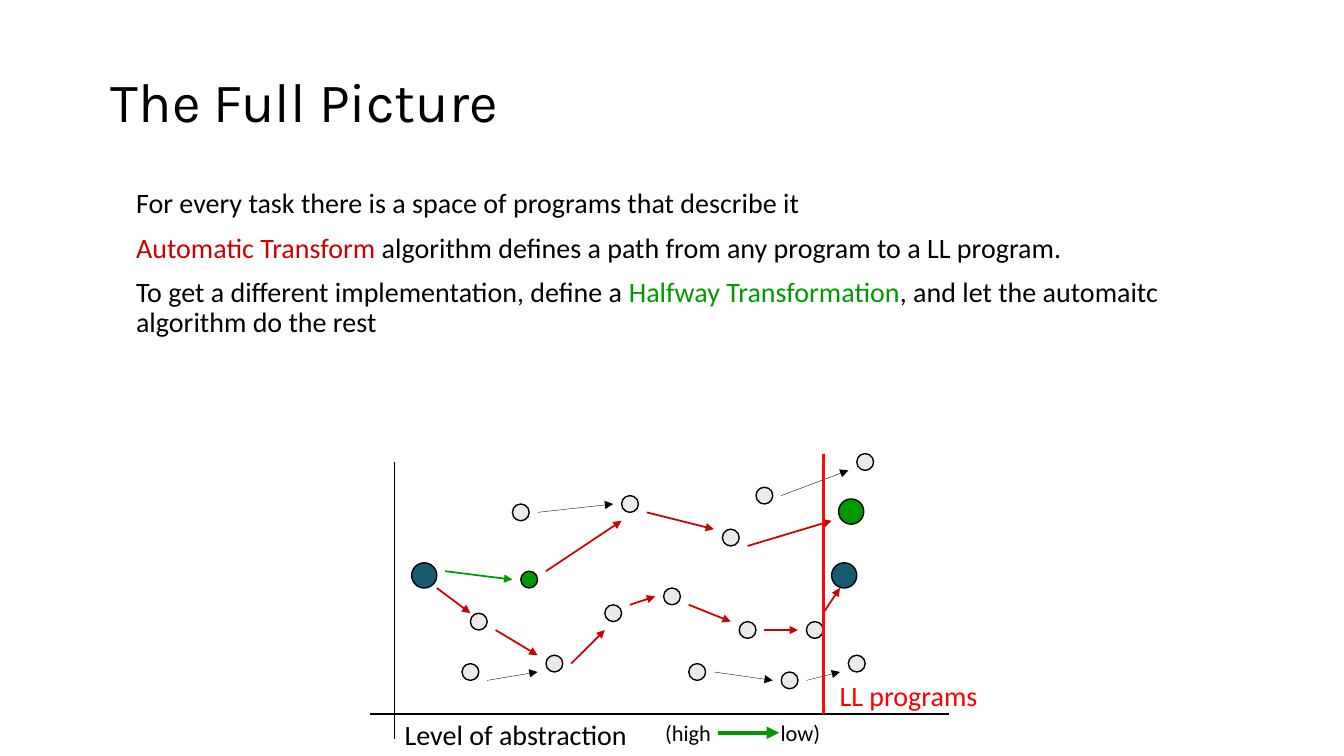
import pptx
import pptx.dml.color
import pptx.enum.shapes
import pptx.enum.text
import pptx.oxml
import pptx.oxml.ns
import pptx.util

Pt = pptx.util.Pt
BLACK, RED, GREEN, BLUE, GREY = "000000", "CC0000", "009900", "175B73", "EAEAEA"


def rgb(value):
    return pptx.dml.color.RGBColor.from_string(value)


class Deck:
    """Holds the style and the current slide, and draws its elements in points."""

    def __init__(self, width, height, font, title_font):
        self.prs = pptx.Presentation()
        self.prs.slide_width, self.prs.slide_height = Pt(width), Pt(height)
        self.font, self.title_font = font, title_font
        self.slide = self.prs.slides.add_slide(self.prs.slide_layouts[5])

    def run(self, p, text, size, color, font=None):
        r = p.add_run()
        r.text = text
        r.font.size, r.font.name = Pt(size), font or self.font
        r.font.color.rgb = rgb(color)

    def title(self, text, x, y, w, h, size):
        sp = self.slide.shapes.title
        sp.left, sp.top, sp.width, sp.height = Pt(x), Pt(y), Pt(w), Pt(h)
        tf = sp.text_frame
        tf.vertical_anchor = pptx.enum.text.MSO_ANCHOR.MIDDLE
        p = tf.paragraphs[0]
        p.alignment, p.line_spacing = pptx.enum.text.PP_ALIGN.LEFT, 0.9
        self.run(p, text, size, BLACK, self.title_font)

    def text(self, paragraphs, x, y, w, h, size=20, wrap=False, indent=0,
             spacing=1.0, gap=0, tab=None):
        sp = self.slide.shapes.add_textbox(Pt(x), Pt(y), Pt(w), Pt(h))
        tf = sp.text_frame
        tf.word_wrap = wrap
        tf.margin_left = Pt(7.2 + indent)
        for i, runs in enumerate(paragraphs):
            p = tf.add_paragraph() if i else tf.paragraphs[0]
            p.line_spacing = spacing
            if i:
                p.space_before = Pt(gap)
            if tab:
                tabs = pptx.oxml.parse_xml(
                    f'<a:tabLst {pptx.oxml.ns.nsdecls("a")}>'
                    f'<a:tab pos="{Pt(tab)}" algn="l"/></a:tabLst>')
                p._p.get_or_add_pPr().append(tabs)
            for text, color in runs:
                self.run(p, text, size, color)

    def dot(self, x, y, size=12, fill=GREY):
        sp = self.slide.shapes.add_shape(
            pptx.enum.shapes.MSO_SHAPE.OVAL, Pt(x), Pt(y), Pt(size), Pt(size))
        sp.shadow.inherit = False
        sp.fill.solid()
        sp.fill.fore_color.rgb = rgb(fill)
        sp.line.color.rgb, sp.line.width = rgb(BLACK), Pt(1)

    def line(self, x1, y1, x2, y2, color=BLACK, width=1, arrow=False):
        sp = self.slide.shapes.add_connector(
            pptx.enum.shapes.MSO_CONNECTOR.STRAIGHT, Pt(x1), Pt(y1), Pt(x2), Pt(y2))
        sp.line.color.rgb, sp.line.width = rgb(color), Pt(width)
        ns = pptx.oxml.ns.nsdecls("a")
        if arrow:
            sp.line._get_or_add_ln().append(
                pptx.oxml.parse_xml(f'<a:tailEnd {ns} type="triangle"/>'))
        sp._element.spPr.append(pptx.oxml.parse_xml(f"<a:effectLst {ns}/>"))


PROGRAMS = [
    (336, 438), (390, 468), (432, 432), (474, 420), (528, 444),
    (576, 444), (366, 360), (492, 474), (516, 378), (330, 474),
    (444, 354), (540, 348), (558, 480), (606, 468), (612, 324),
]
OTHER_STEPS = [
    (348, 486, 384, 480), (384, 366, 438, 360), (558, 354, 606, 336),
    (510, 480, 552, 486), (576, 486, 600, 480),
]
AUTOMATIC_STEPS = [
    (312, 420, 336, 438), (354, 450, 384, 468), (408, 474, 432, 450),
    (450, 432, 468, 426), (492, 432, 522, 444), (546, 450, 570, 450),
    (588, 438, 600, 420), (462, 366, 510, 378), (534, 390, 594, 372),
    (390, 408, 444, 372),
]
BODY = [
    [("For every task there is a space of programs that describe it", BLACK)],
    [("Automatic Transform", RED),
     (" algorithm defines a path from any program to a LL program.", BLACK)],
    [("To get a different implementation, define a ", BLACK),
     ("Halfway Transformation", GREEN),
     (", and let the automaitc algorithm do the rest", BLACK)],
]


def main():
    s = Deck(960, 540, "Calibri", "Karla")
    s.title("The Full Picture", 72, 48, 816, 54, 39.6)
    s.text(BODY, 72, 132, 816, 168, wrap=True, indent=18, spacing=0.9, gap=10)

    for x, y in PROGRAMS:
        s.dot(x, y)

    s.line(282, 330, 282, 528)
    s.line(264, 510, 678, 510)
    s.text([[("Level of abstraction", BLACK)]], 282, 509, 175, 31.5)
    s.text([[("(high\tlow)", BLACK)]], 468, 510, 138, 26.6, size=16, wrap=True, tab=82.5)
    s.line(512.6, 523.4, 556.6, 523.4, GREEN, 3, arrow=True)

    for step in OTHER_STEPS:
        s.line(*step, width=0.25, arrow=True)
    for step in AUTOMATIC_STEPS:
        s.line(*step, color=RED, width=1.25, arrow=True)
    s.line(318, 408, 366, 414, GREEN, 1.25, arrow=True)

    s.dot(294, 402, 18, BLUE)
    s.dot(594, 402, 18, BLUE)
    s.dot(599, 356.4, 18, GREEN)
    s.dot(372, 408, fill=GREEN)

    s.line(588, 324, 588, 510, "FF0707", 2.25)
    s.text([[("LL programs", "FF0000")]], 592.6, 481, 114, 31.5)
    s.prs.save("out.pptx")


if __name__ == "__main__":
    main()
